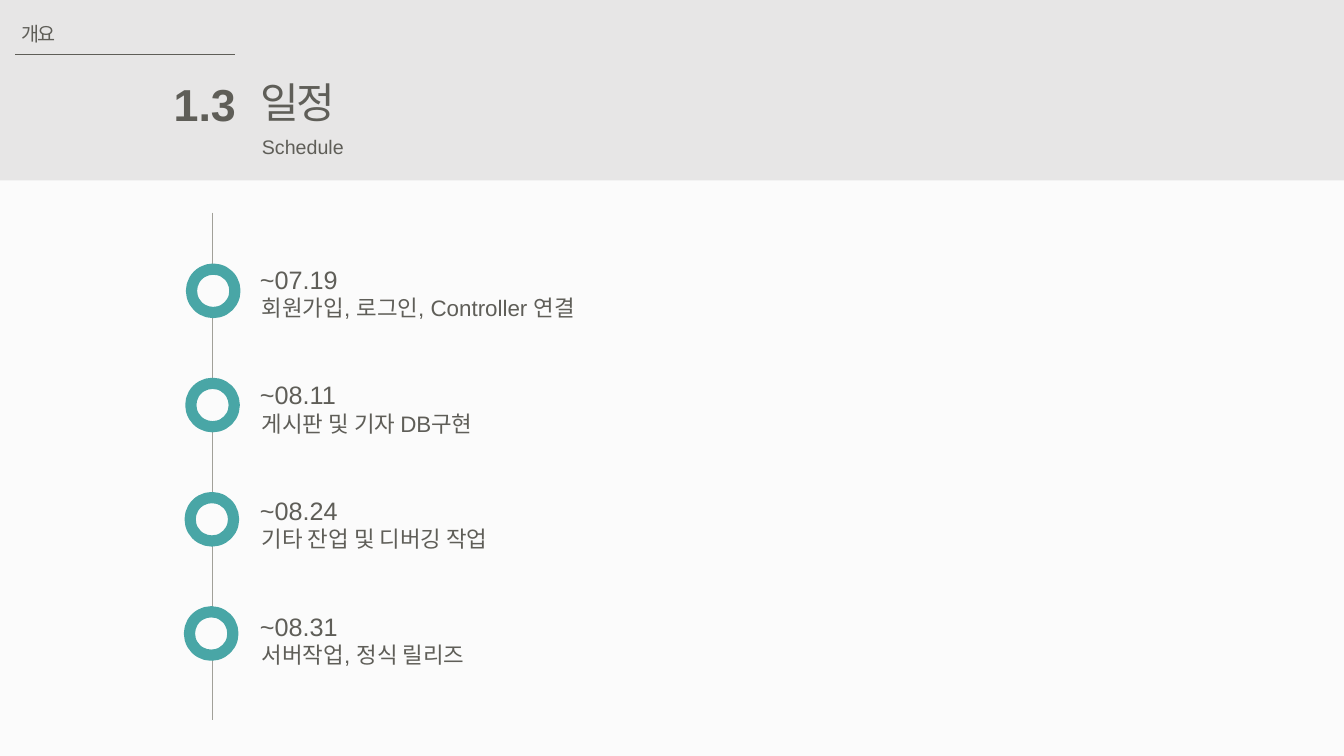
from lxml import etree
from pptx import Presentation
from pptx.dml.color import RGBColor
from pptx.enum.shapes import MSO_CONNECTOR, MSO_SHAPE
from pptx.enum.text import MSO_ANCHOR, MSO_AUTO_SIZE, PP_ALIGN
from pptx.oxml.ns import qn
from pptx.util import Inches, Pt

LINE = MSO_CONNECTOR.STRAIGHT
RECT, OVAL = MSO_SHAPE.RECTANGLE, MSO_SHAPE.OVAL
LEFT, RIGHT = PP_ALIGN.LEFT, PP_ALIGN.RIGHT
TOP, GROW = MSO_ANCHOR.TOP, MSO_AUTO_SIZE.SHAPE_TO_FIT_TEXT

W, H = Inches(13.33), Inches(7.5)
INK, PAPER, BAND, TEAL, AXIS = "5F5E58", "FBFBFB", "E7E6E6", "49A6A6", "A1A099"
LATIN, HANGUL = "Arial", "Noto Sans CJK KR"
MILESTONES = [
    ("~07.19", "회원가입, 로그인, Controller 연결", 25.5),
    ("~08.11", "게시판 및 기자 DB구현", 17.3),
    ("~08.24", "기타 잔업 및 디버깅 작업", 20),
    ("~08.31", "서버작업, 정식 릴리즈", 20),
]


def color(value):
    return RGBColor.from_string(value)


def grid(x, y, w, h):
    return [int(n) for n in (W * x / 100, H * y / 100, W * w / 100, H * h / 100)]


def write(shape, text, size, font=LATIN, bold=False, align=LEFT, spacing=0, wrap=False):
    tf = shape.text_frame
    tf.word_wrap, tf.auto_size, tf.vertical_anchor = wrap, GROW, TOP
    p = tf.paragraphs[0]
    p.text, p.alignment = text, align
    f = p.font
    f.size, f.bold, f.name = Pt(size), bold, font
    f.color.rgb = color(INK)
    props = p._p.pPr.find(qn("a:defRPr"))
    props.set("spc", str(spacing))
    etree.SubElement(props, qn("a:ea")).set("typeface", HANGUL)


def add_text(shapes, box, text, size, **style):
    write(shapes.add_textbox(*grid(*box)), text, size, **style)


def add_line(shapes, start, end, stroke):
    c = shapes.add_connector(LINE, *grid(*start, *end))
    c.line.color.rgb, c.line.width = color(stroke), Pt(0.5)
    etree.SubElement(c._element.spPr, qn("a:effectLst"))


def add_block(shapes, kind, box, fill, stroke=None):
    sp = shapes.add_shape(kind, *box)
    sp.shadow.inherit = False
    sp.fill.solid()
    sp.fill.fore_color.rgb = color(fill)
    if stroke:
        sp.line.color.rgb, sp.line.width = color(stroke), Pt(8)
    else:
        sp.line.fill.background()


def add_header(s):
    add_block(s.shapes, RECT, grid(0, 0, 100, 23.87), BAND)
    add_line(s.shapes, (1.13, 7.2), (17.48, 7.2), INK)
    add_text(s.shapes, (0.83, 2.27, 4.13, 4.53), "개요", 14, spacing=-150)
    add_text(s.shapes, (12.15, 9.47, 6.15, 8.53), "1.3", 32, bold=True, align=RIGHT)
    title = s.shapes.title
    title.left, title.top, title.width, title.height = grid(18.6, 9.47, 7.5, 8.13)
    write(title, "일정", 30, font=HANGUL, spacing=-150)
    s.shapes.element.append(title.element)
    add_text(s.shapes, (18.75, 17.2, 7.65, 4.53), "Schedule", 14)


def add_timeline(s):
    shapes = s.shapes.add_group_shape().shapes
    add_line(shapes, (15.83, 28.13), (15.83, 95.2), AXIS)
    for i in range(len(MILESTONES)):
        x, y, d, _ = grid(14.25 - 0.05 * i, 35.6 + 15.11 * i, 3.23, 0)
        add_block(shapes, OVAL, (x, y, d, d), PAPER, TEAL)


def add_milestone(s, i, date, task, width):
    y = 34.27 + 15.29 * i
    shapes = s.shapes.add_group_shape().shapes
    add_text(shapes, (18.6, y, 7.35, 5.33), date, 18)
    add_text(shapes, (18.75, y + 4, width, 4.93), task, 16, wrap=True)


def main():
    prs = Presentation()
    prs.slide_width, prs.slide_height = W, H
    s = prs.slides.add_slide(prs.slide_layouts[5])
    s.background.fill.solid()
    s.background.fill.fore_color.rgb = color(PAPER)
    add_header(s)
    add_timeline(s)
    for i, milestone in enumerate(MILESTONES):
        add_milestone(s, i, *milestone)
    prs.save("out.pptx")


if __name__ == "__main__":
    main()
